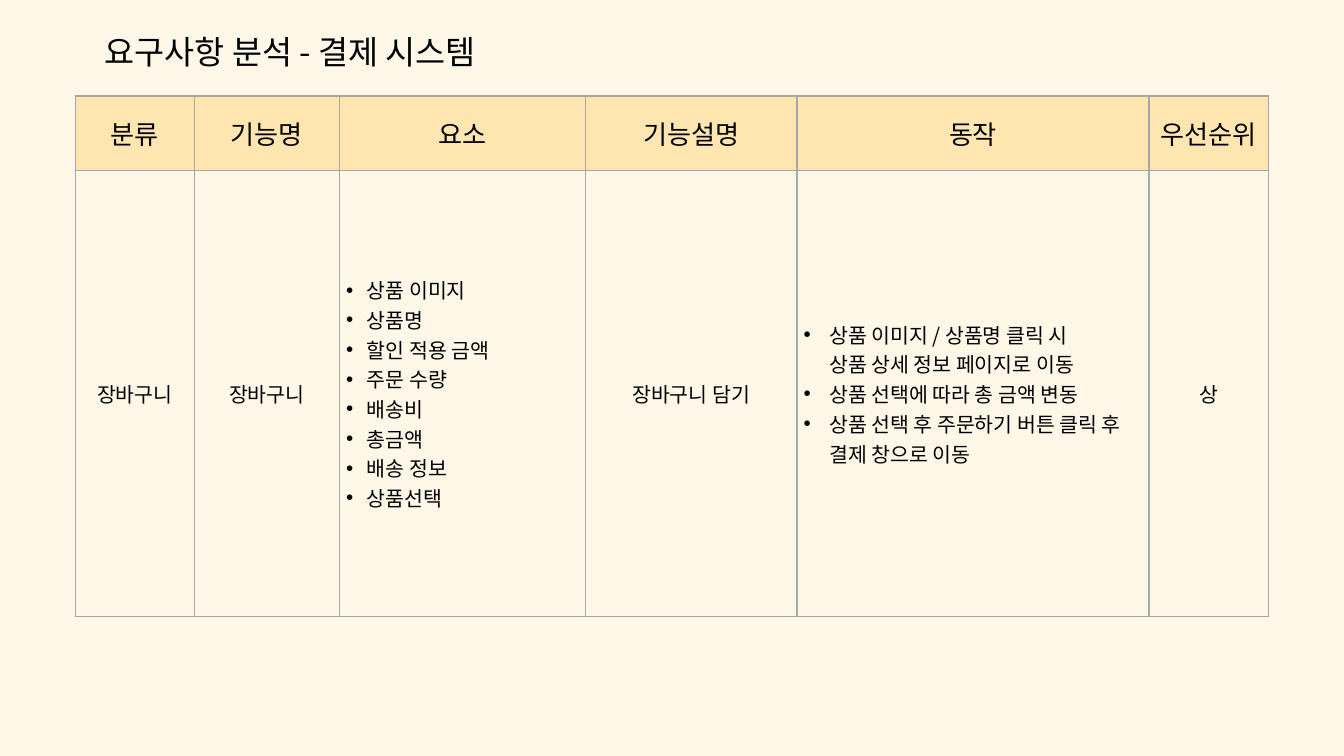
from lxml import etree
from pptx import Presentation
from pptx.dml.color import RGBColor
from pptx.enum.text import MSO_ANCHOR, MSO_AUTO_SIZE, PP_ALIGN
from pptx.oxml.ns import qn
from pptx.util import Inches, Pt

CENTER, LEFT = PP_ALIGN.CENTER, PP_ALIGN.LEFT
MIDDLE, TOP = MSO_ANCHOR.MIDDLE, MSO_ANCHOR.TOP
NO_AUTOSIZE = MSO_AUTO_SIZE.NONE

FONT = "Noto Sans CJK KR"
COLORS = {"background": "FFF8E9", "header": "FFE6B1", "border": "A6A6A6", "text": "000000"}
BORDER_WIDTH = Pt(1.5)

COLUMN_WIDTHS = [1.77, 2.16, 3.66, 3.15, 5.24, 1.78]
ROW_HEIGHTS = [1.11, 6.64]
HEADERS = ["분류", "기능명", "요소", "기능설명", "동작", "우선순위"]
ELEMENTS = ["상품 이미지", "상품명", "할인 적용 금액", "주문 수량",
            "배송비", "총금액", "배송 정보", "상품선택"]
ACTIONS = ["상품 이미지 / 상품명 클릭 시\n상품 상세 정보 페이지로 이동",
           "상품 선택에 따라 총 금액 변동",
           "상품 선택 후 주문하기 버튼 클릭 후\n결제 창으로 이동"]
REQUIREMENT = [(["장바구니"], None), (["장바구니"], None), (ELEMENTS, 0.31),
               (["장바구니 담기"], None), (ACTIONS, 0.38), (["상"], None)]


def rgb(name):
    return RGBColor.from_string(COLORS[name])


def set_attributes(target, values):
    for name, value in values.items():
        setattr(target, name, value)


def style_text(paragraph, size, alignment):
    paragraph.alignment = alignment
    for run in paragraph.runs:
        set_attributes(run.font, {"name": FONT, "size": Pt(size), "bold": False})
        run.font.color.rgb = rgb("text")
        east_asian = etree.Element(qn("a:ea"), typeface=FONT)
        run.font._element.find(qn("a:latin")).addnext(east_asian)


def add_bullet(paragraph, indent):
    properties = paragraph._p.get_or_add_pPr()
    properties.set("marL", str(Inches(indent)))
    properties.set("indent", str(-Inches(indent)))
    etree.SubElement(properties, qn("a:buFont"), typeface="Arial")
    etree.SubElement(properties, qn("a:buChar"), char="•")


def add_borders(cell):
    properties = cell._tc.get_or_add_tcPr()
    for side in ("lnL", "lnR", "lnT", "lnB"):
        line = etree.SubElement(properties, qn(f"a:{side}"), w=str(BORDER_WIDTH))
        fill = etree.SubElement(line, qn("a:solidFill"))
        etree.SubElement(fill, qn("a:srgbClr"), val=COLORS["border"])


def fill_cell(cell, lines, size, indent=None, color=None):
    cell.vertical_anchor = MIDDLE
    add_borders(cell)
    if color:
        cell.fill.solid()
        cell.fill.fore_color.rgb = rgb(color)
    else:
        cell.fill.background()
    frame = cell.text_frame
    for index, line in enumerate(lines):
        paragraph = frame.add_paragraph() if index else frame.paragraphs[0]
        paragraph.text = line
        if indent:
            add_bullet(paragraph, indent)
        style_text(paragraph, size, LEFT if indent else CENTER)


def add_title(slide, text):
    title = slide.shapes.title
    set_attributes(title, {"left": Inches(1.42), "top": Inches(0.38),
                           "width": Inches(5.8), "height": Inches(0.65)})
    frame = title.text_frame
    set_attributes(frame, {"margin_left": 0, "margin_right": 0, "margin_top": 0,
                           "margin_bottom": 0, "word_wrap": False,
                           "auto_size": NO_AUTOSIZE, "vertical_anchor": TOP})
    paragraph = frame.paragraphs[0]
    paragraph.text = text
    set_attributes(paragraph, {"line_spacing": Pt(49), "space_before": Pt(0)})
    style_text(paragraph, 35, CENTER)


def add_requirements_table(slide):
    table = slide.shapes.add_table(
        len(ROW_HEIGHTS), len(COLUMN_WIDTHS), Inches(1.12), Inches(1.43),
        Inches(sum(COLUMN_WIDTHS)), Inches(sum(ROW_HEIGHTS))).table
    set_attributes(table, {"first_row": False, "horz_banding": False})
    for column, width in zip(table.columns, COLUMN_WIDTHS):
        column.width = Inches(width)
    for row, height in zip(table.rows, ROW_HEIGHTS):
        row.height = Inches(height)
    for column, header in enumerate(HEADERS):
        fill_cell(table.cell(0, column), [header], 28, color="header")
    for column, (lines, indent) in enumerate(REQUIREMENT):
        fill_cell(table.cell(1, column), lines, 22, indent)


def main():
    presentation = Presentation()
    set_attributes(presentation, {"slide_width": Inches(20), "slide_height": Inches(11.25)})
    slide = presentation.slides.add_slide(presentation.slide_layouts[5])
    slide.background.fill.solid()
    slide.background.fill.fore_color.rgb = rgb("background")
    add_title(slide, "요구사항 분석 - 결제 시스템")
    add_requirements_table(slide)
    presentation.save("out.pptx")


if __name__ == "__main__":
    main()
